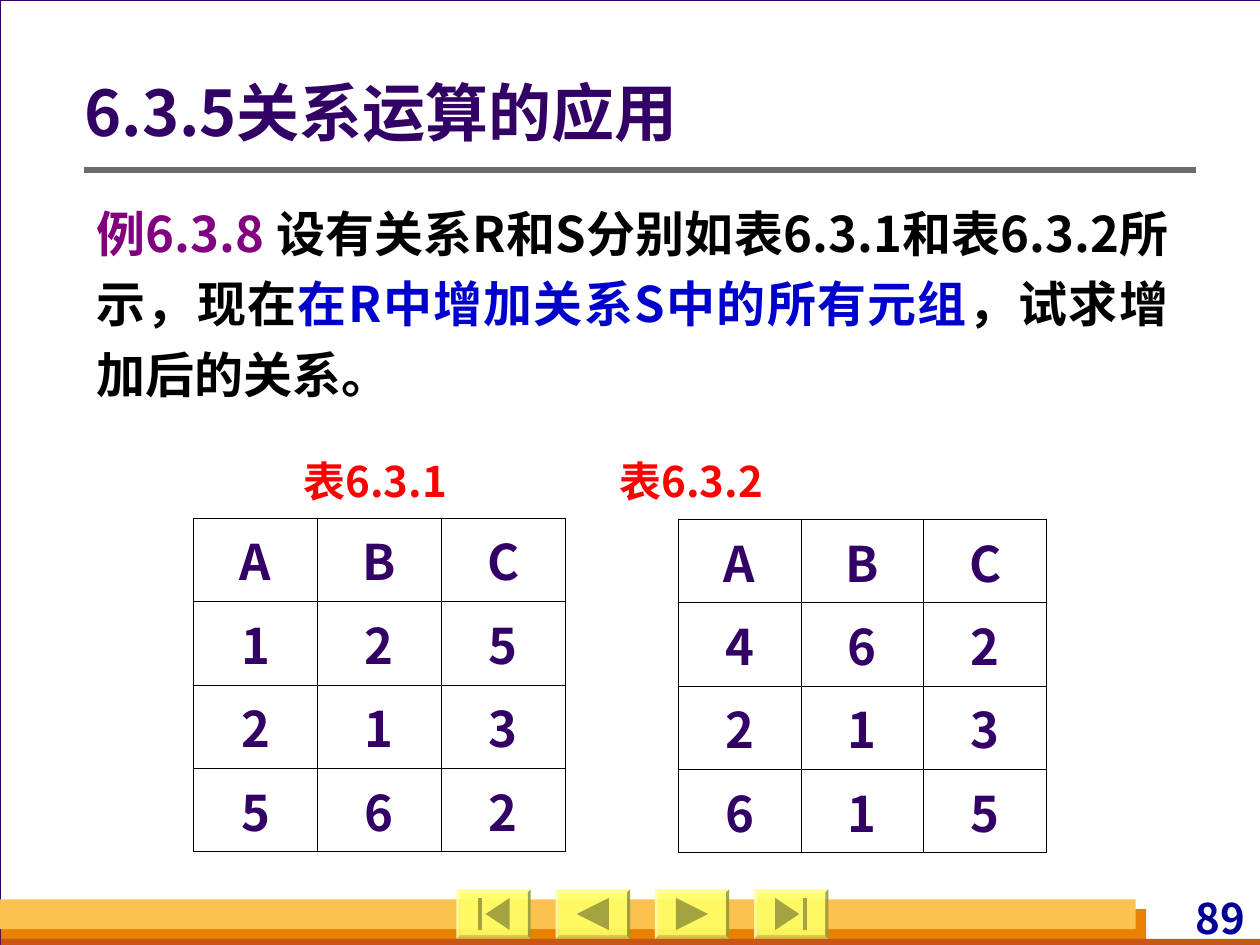
from dataclasses import dataclass

from lxml.etree import SubElement
from pptx import Presentation
from pptx.dml.color import RGBColor
from pptx.enum.shapes import MSO_CONNECTOR, MSO_SHAPE
from pptx.enum.text import MSO_ANCHOR, PP_ALIGN
from pptx.oxml.ns import qn
from pptx.util import Pt


@dataclass(frozen=True)
class Theme:
    font: str = "Noto Sans CJK SC"
    title_size: int = 36
    body_size: int = 28
    caption_size: int = 24
    background: str = "D8DADA"
    page: str = "FFFFFF"
    ink: str = "330066"
    rule: str = "6B6B6B"
    black: str = "000000"
    example: str = "800080"
    emphasis: str = "0000CC"
    caption: str = "FF0000"
    page_number: str = "000099"
    bar_light: str = "FCC24F"
    bar_mid: str = "E88000"
    bar_dark: str = "C95616"
    button: str = "FFFF66"
    icon: str = "A3A341"


THEME = Theme()


def rgb(color):
    return RGBColor.from_string(color)


def fill_shape(s, color, line=None, alpha=None):
    s.shadow.inherit = False
    s.fill.solid()
    s.fill.fore_color.rgb = rgb(color)
    if alpha:
        clr = s._element.spPr.find(qn("a:solidFill"))[0]
        SubElement(clr, qn("a:alpha"), val=str(alpha * 1000))
    if line:
        s.line.color.rgb = rgb(line)
        s.line.width = Pt(0.75)
    else:
        s.line.fill.background()


def add_box(slide, box, color, line=None):
    s = slide.shapes.add_shape(MSO_SHAPE.RECTANGLE, *map(Pt, box))
    fill_shape(s, color, line)


def add_rule(slide, x1, x2, y):
    s = slide.shapes.add_connector(MSO_CONNECTOR.STRAIGHT, Pt(x1), Pt(y), Pt(x2), Pt(y))
    s.line.color.rgb = rgb(THEME.rule)
    s.line.width = Pt(3)
    SubElement(s._element.spPr, qn("a:effectLst"))


def style_font(p, size, color=None):
    """Set the bold theme font for both Latin and East Asian text."""
    p.font.size = Pt(size)
    p.font.bold = True
    if color:
        p.font.color.rgb = rgb(color)
    p.font.name = THEME.font
    SubElement(p._p.pPr.find(qn("a:defRPr")), qn("a:ea"), typeface=THEME.font)


def add_text(slide, box, runs, size, align=PP_ALIGN.LEFT, anchor=MSO_ANCHOR.TOP,
             insets=(7.2, 3.6, 7.2, 3.6), spacing=1.0, tab=None):
    """Add one paragraph made of (text, colour) runs."""
    tf = slide.shapes.add_textbox(*map(Pt, box)).text_frame
    tf.word_wrap = True
    tf.vertical_anchor = anchor
    tf.margin_left, tf.margin_top, tf.margin_right, tf.margin_bottom = map(Pt, insets)
    p = tf.paragraphs[0]
    p.alignment = align
    p.line_spacing = spacing
    if tab:
        tabs = SubElement(p._p.get_or_add_pPr(), qn("a:tabLst"))
        SubElement(tabs, qn("a:tab"), pos=str(Pt(tab)), algn="l")
    style_font(p, size)
    for text, color in runs:
        r = p.add_run()
        r.text = text
        r.font.color.rgb = rgb(color)


def add_borders(cell):
    tc_pr = cell._tc.get_or_add_tcPr()
    for i, side in enumerate(("a:lnL", "a:lnR", "a:lnT", "a:lnB")):
        ln = SubElement(tc_pr, qn(side), w=str(Pt(0.45)))
        SubElement(SubElement(ln, qn("a:solidFill")), qn("a:srgbClr"), val=THEME.black)
        tc_pr.insert(i, ln)


def add_relation(slide, left, top, col_width, rows, row_height=47.7):
    n_rows, n_cols = len(rows), len(rows[0])
    table = slide.shapes.add_table(n_rows, n_cols, Pt(left), Pt(top),
                                   Pt(col_width * n_cols), Pt(row_height * n_rows)).table
    table.first_row = table.horz_banding = False
    for col in table.columns:
        col.width = Pt(col_width)
    for i, row in enumerate(rows):
        for j, value in enumerate(row):
            cell = table.cell(i, j)
            cell.fill.background()
            cell.vertical_anchor = MSO_ANCHOR.MIDDLE
            cell.margin_bottom = Pt(9.6)
            p = cell.text_frame.paragraphs[0]
            p.text = value
            p.alignment = PP_ALIGN.CENTER
            style_font(p, THEME.body_size, THEME.ink)
            add_borders(cell)


def add_button(slide, left, icon, top=508.2, width=42.5, height=28.2):
    """Add a bevelled button; icon outlines are relative to its centre."""
    s = slide.shapes.add_shape(MSO_SHAPE.BEVEL, Pt(left), Pt(top), Pt(width), Pt(height))
    s.adjustments[0] = 0.06
    fill_shape(s, THEME.button, alpha=90)
    cx, cy = left + width / 2, top + height / 2
    for outline in icon:
        points = [(Pt(cx + x), Pt(cy + y)) for x, y in outline]
        builder = slide.shapes.build_freeform(*points[0], scale=1.0)
        builder.add_line_segments(points[1:], close=True)
        fill_shape(builder.convert_to_shape(), THEME.icon)


def mirror(icon):
    return [[(-x, y) for x, y in outline] for outline in icon]


def add_frame(slide):
    add_box(slide, (0, 0, 720.5, 540), THEME.page, THEME.ink)
    add_box(slide, (0.5, 519.5, 654.5, 20.5), THEME.bar_mid)
    add_box(slide, (0.5, 536.5, 720, 5.5), THEME.bar_dark)
    add_box(slide, (0, 514, 649, 17), THEME.bar_light)
    add_text(slide, (610, 509.8, 104.4, 28.8), [("89", THEME.page_number)],
             THEME.caption_size, PP_ALIGN.RIGHT, insets=(3, 0, 3, 0))
    add_rule(slide, 48, 683.3, 97.2)

    previous = [[(-9.2, 0), (9.2, -9.2), (9.2, 9.2)]]
    first = [[(-4.6, 0), (9.2, -9.2), (9.2, 9.2)],
             [(-9.2, -9.2), (-6.9, -9.2), (-6.9, 9.2), (-9.2, 9.2)]]
    for i, icon in enumerate((first, previous, mirror(previous), mirror(first))):
        add_button(slide, 260.8 + 56.7 * i, icon)


def main():
    prs = Presentation()
    prs.slide_width, prs.slide_height = Pt(720), Pt(540)
    slide = prs.slides.add_slide(prs.slide_layouts[6])
    slide.background.fill.solid()
    slide.background.fill.fore_color.rgb = rgb(THEME.background)

    add_frame(slide)
    add_text(slide, (48.3, 43.2, 635, 46), [("6.3.5关系运算的应用", THEME.ink)],
             THEME.title_size, anchor=MSO_ANCHOR.MIDDLE,
             insets=(0, 3.6, 7.2, 3.6), spacing=0.9)
    add_text(slide, (48.2, 105.8, 626.4, 128.2), [
        ("例6.3.8 ", THEME.example),
        ("设有关系R和S分别如表6.3.1和表6.3.2所示，现在", THEME.black),
        ("在R中增加关系S中的所有元组", THEME.emphasis),
        ("，试求增加后的关系。", THEME.black),
    ], THEME.body_size, PP_ALIGN.JUSTIFY, spacing=1.2)
    add_relation(slide, 387.5, 296.6, 70.2, ["ABC", "462", "213", "615"])
    add_relation(slide, 110.6, 296, 70.8, ["ABC", "125", "213", "562"])
    add_text(slide, (166.3, 256.6, 380.9, 64.8), [("表6.3.1\t表6.3.2", THEME.caption)],
             THEME.caption_size, tab=180.6)

    prs.save("out.pptx")


if __name__ == "__main__":
    main()
